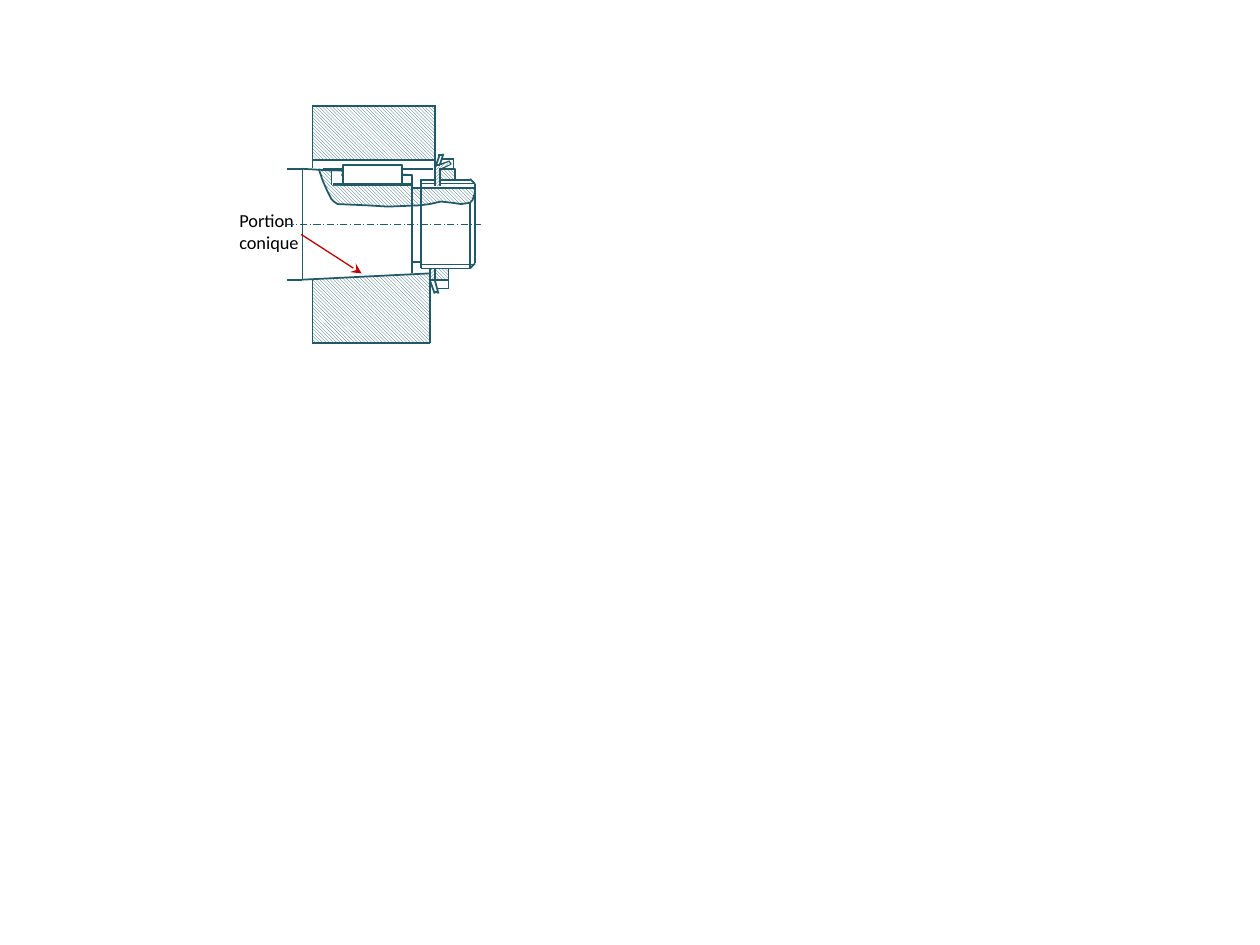
from pptx import Presentation
from pptx import util as u
from pptx.dml import color
from pptx.enum import dml, shapes, text
from pptx.oxml import ns
from lxml import etree

THEME = {"ink": "215968", "paper": "FFFFFF", "arrow": "C00000", "text": "000000",
         "font": "Calibri", "size": 10.5}
# Line styles: colour, width, dash, arrowhead
LINES = {"edge": ("ink", 1, None, None), "thin": ("ink", 0.5, None, None),
         "axis": ("ink", 0.5, dml.MSO_LINE.LONG_DASH_DOT, None),
         "arrow": ("arrow", 0.75, None, "stealth")}
HATCH = {"down": dml.MSO_PATTERN.LIGHT_DOWNWARD_DIAGONAL,
         "up": dml.MSO_PATTERN.LIGHT_UPWARD_DIAGONAL}

# Parts from back to front
# Lines: x1, y1, x2, y2. Boxes: left, top, width, height, fill, outlined, turn
CUT = [(2.53, 1.34), (2.56, 1.43), (2.6, 1.52), (2.63, 1.58), (2.65, 1.6),
       (2.68, 1.62), (2.91, 1.63), (3.08, 1.64), (3.33, 1.63), (3.41, 1.62),
       (3.5, 1.6), (3.59, 1.61), (3.66, 1.62), (3.73, 1.61), (3.75, 1.59),
       (3.77, 1.53), (3.77, 1.49)]
HUB = [(2.48, 2.22), (3.41, 2.17), (3.41, 2.72), (2.48, 2.72)]

THREAD = [
    ("box", 3.27, 1.41, 0.49, 0.08, "paper", False, 0),
    ("box", 3.34, 1.4, 0.1, 0.08, "paper", False, 0),
    ("edge", 3.73, 1.43, 3.34, 1.43), ("thin", 3.34, 1.46, 3.77, 1.46),
    ("box", 3.45, 1.31, 0.04, 0.17, "up", False, 0),
    ("box", 2.64, 1.39, 0.63, 0.08, "paper", True, 0),
    ("edge", 3.73, 1.42, 3.77, 1.46),
]
LABEL = ("Portion conique", 1.86, 1.61, 0.77, 0.45)
RING = [("box", 2.48, 0.85, 0.97, 0.42, "down", False, 0)]
OUTLINE = [
    ("edge", 2.56, 1.34, 3.44, 1.34), ("edge", 2.4, 2.22, 3.41, 2.17),
    ("edge", 2.48, 0.83, 2.48, 1.33), ("edge", 2.28, 1.34, 2.4, 1.34),
    ("edge", 2.4, 1.33, 2.4, 2.22), ("edge", 2.48, 1.27, 3.45, 1.27),
    ("edge", 3.45, 1.39, 3.45, 0.83), ("edge", 2.48, 0.84, 3.45, 0.84),
    ("edge", 2.48, 2.72, 2.48, 2.22), ("edge", 2.48, 2.72, 3.41, 2.72),
    ("axis", 3.82, 1.78, 2.24, 1.78), ("thin", 3.35, 1.43, 3.4, 1.43),
    ("edge", 3.77, 1.49, 3.34, 1.49), ("edge", 3.73, 1.61, 3.73, 2.13),
    ("edge", 3.73, 2.13, 3.77, 2.09), ("edge", 3.77, 1.46, 3.77, 2.09),
    ("thin", 3.34, 2.1, 3.77, 2.1),
]
TOP_NUT = [
    ("edge", 3.49, 1.23, 3.45, 1.34), ("edge", 3.52, 1.34, 3.5, 1.34),
    ("edge", 3.58, 1.3, 3.5, 1.34), ("edge", 3.6, 1.33, 3.6, 1.26),
    ("edge", 3.57, 1.28, 3.48, 1.31), ("edge", 3.58, 1.3, 3.56, 1.28),
    ("edge", 3.45, 1.48, 3.45, 1.33), ("edge", 3.49, 1.48, 3.49, 1.33),
    ("edge", 3.52, 1.22, 3.49, 1.31), ("edge", 3.51, 1.23, 3.48, 1.23),
    ("edge", 3.51, 1.26, 3.6, 1.26),
    ("box", 3.52, 1.27, 0.02, 0.08, "up", False, 66.6),
    ("edge", 3.49, 1.31, 3.46, 1.31),
    ("box", 3.49, 1.34, 0.12, 0.09, "down", True, 0),
]
LOW_NUT = [
    ("box", 3.41, 2.13, 0.05, 0.1, "up", False, 0),
    ("edge", 3.45, 2.33, 3.41, 2.22), ("edge", 3.49, 2.22, 3.46, 2.22),
    ("edge", 3.56, 2.22, 3.56, 2.29), ("edge", 3.48, 2.33, 3.45, 2.22),
    ("edge", 3.48, 2.32, 3.45, 2.32), ("edge", 3.47, 2.29, 3.56, 2.29),
    ("box", 3.45, 2.13, 0.11, 0.09, "down", True, 0),
    ("edge", 3.46, 2.22, 3.41, 2.22),
]
SHAFT = [
    ("arrow", 2.39, 1.86, 2.87, 2.17),
    ("edge", 3.27, 1.39, 3.27, 2.17), ("edge", 3.34, 1.42, 3.34, 2.13),
    ("edge", 3.27, 2.08, 3.34, 2.08), ("edge", 3.41, 2.72, 3.41, 2.13),
    ("edge", 3.34, 2.13, 3.73, 2.13), ("edge", 2.4, 1.34, 3.27, 1.39),
    ("box", 2.72, 1.31, 0.47, 0.16, "paper", True, 0),
    ("edge", 3.27, 1.49, 3.34, 1.49), ("edge", 2.28, 2.22, 2.4, 2.22),
    ("box", 2.63, 1.36, 0.08, 0.11, "paper", False, 0),
    ("edge", 2.63, 1.34, 2.63, 1.47), ("edge", 2.64, 1.46, 3.27, 1.46),
]


def rgb(name):
    return color.RGBColor.from_string(THEME[name])


def paint(part, fill, outlined):
    part.shadow.inherit = False
    if fill in HATCH:
        part.fill.patterned()
        part.fill.pattern = HATCH[fill]
        part.fill.fore_color.rgb = rgb("ink")
        part.fill.back_color.rgb = rgb("paper")
    else:
        part.fill.solid()
        part.fill.fore_color.rgb = rgb(fill)
    if outlined:
        part.line.color.rgb = rgb("ink")
        part.line.width = u.Pt(1)
    else:
        part.line.fill.background()


def add_line(where, style, *ends):
    hue, width, dash, head = LINES[style]
    part = where.add_connector(shapes.MSO_CONNECTOR.STRAIGHT, *map(u.Inches, ends))
    part.line.color.rgb = rgb(hue)
    part.line.width = u.Pt(width)
    if dash:
        part.line.dash_style = dash
    if head:
        etree.SubElement(part.line._get_or_add_ln(), ns.qn("a:tailEnd"), type=head)
    etree.SubElement(part._element.spPr, ns.qn("a:effectLst"))


def add_box(where, left, top, width, height, fill, outlined, turn):
    part = where.add_shape(shapes.MSO_SHAPE.RECTANGLE,
                           *map(u.Inches, (left, top, width, height)))
    part.rotation = turn
    paint(part, fill, outlined)


def add_parts(where, parts):
    for kind, *rest in parts:
        if kind == "box":
            add_box(where, *rest)
        else:
            add_line(where, kind, *rest)


def add_free(where, points, closed):
    first, *rest = [(u.Inches(x), u.Inches(y)) for x, y in points]
    pen = where.build_freeform(*first)
    pen.add_line_segments(rest, close=closed)
    paint(pen.convert_to_shape(), "down", not closed)


def add_label(where, words, *place):
    box = where.add_textbox(*map(u.Inches, place))
    frame = box.text_frame
    frame.word_wrap = True
    frame.auto_size = text.MSO_AUTO_SIZE.SHAPE_TO_FIT_TEXT
    frame.margin_left = u.Inches(0.04)
    frame.text = words
    font = frame.paragraphs[0].runs[0].font
    font.name, font.size = THEME["font"], u.Pt(THEME["size"])
    font.color.rgb = rgb("text")


def main():
    deck = Presentation()
    deck.slide_width, deck.slide_height = u.Inches(10), u.Inches(7.5)
    draw = deck.slides.add_slide(deck.slide_layouts[6]).shapes
    # Sectioned shaft end and thread
    add_free(draw, CUT, False)
    add_parts(draw, THREAD)
    add_label(draw, *LABEL)
    # Outer ring, hub and outlines
    add_parts(draw, RING)
    add_free(draw, HUB, True)
    add_parts(draw, OUTLINE)
    # Nuts with lock washers
    add_parts(draw, TOP_NUT)
    add_parts(draw.add_group_shape().shapes, LOW_NUT)
    # Shaft, roller and pointer
    add_parts(draw, SHAFT)
    deck.save("out.pptx")


if __name__ == "__main__":
    main()
